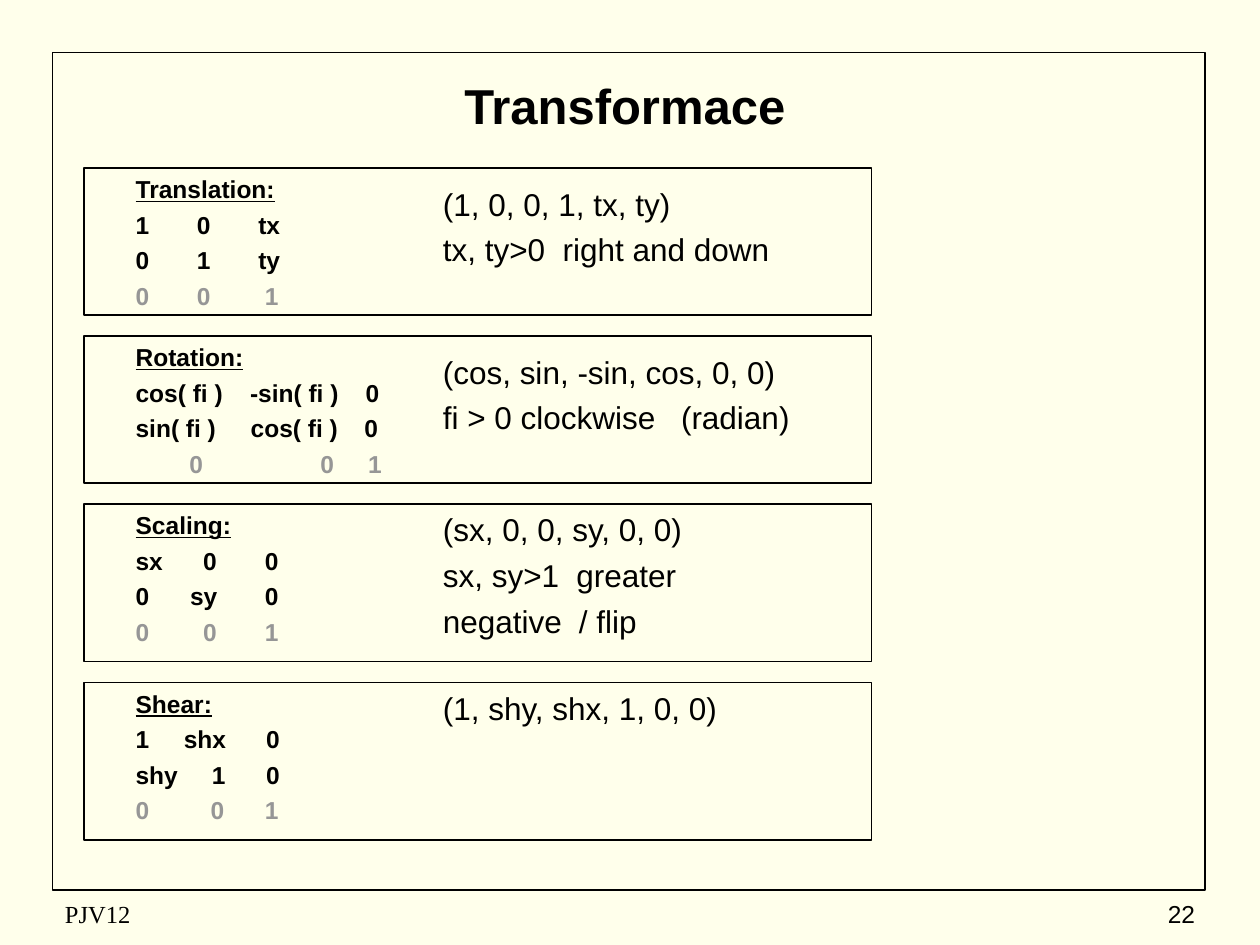
"""Build the slide that lists the four affine transformations."""
from dataclasses import dataclass

from lxml import etree
from pptx import Presentation
from pptx.dml.color import RGBColor
from pptx.enum.shapes import MSO_SHAPE
from pptx.enum.text import MSO_ANCHOR, PP_ALIGN
from pptx.oxml.ns import qn
from pptx.util import Inches, Pt

RECTANGLE = MSO_SHAPE.RECTANGLE
TOP, MIDDLE = MSO_ANCHOR.TOP, MSO_ANCHOR.MIDDLE
LEFT, CENTER, RIGHT = PP_ALIGN.LEFT, PP_ALIGN.CENTER, PP_ALIGN.RIGHT


@dataclass(frozen=True)
class Theme:
    """Colours, fonts and type sizes of the slide."""

    paper: RGBColor = RGBColor(0xFF, 0xFF, 0xEB)
    ink: RGBColor = RGBColor(0x00, 0x00, 0x00)
    muted: RGBColor = RGBColor(0x96, 0x96, 0x96)
    sans: str = "Arial"
    serif: str = "Times New Roman"
    title: float = 28
    note: float = 18
    small: float = 14
    note_gap: float = 4.5
    matrix_gap: float = 3.5


THEME = Theme()
CELLS_PER_INCH = 12
PANEL_LEFT, PANEL_TOP, PANEL_WIDTH, PANEL_GAP = 8, 16, 75, 2
NOTE_LEFT, NOTE_WIDTH = 41, 38
MATRIX_INSET = 0.41

BODY = {"name": THEME.sans, "size": Pt(THEME.note), "bold": False}
TITLE = {"name": THEME.sans, "size": Pt(THEME.title), "bold": True}
FOOTER = {"name": THEME.serif, "size": Pt(THEME.small)}
NUMBER = {"name": THEME.sans, "size": Pt(THEME.small)}
MATRIX = {"name": THEME.sans, "size": Pt(THEME.small), "bold": True}
HEADING = {**MATRIX, "underline": True}

PANELS = [
    {"name": "Translation:", "height": 14, "note_drop": 1, "note_height": 11,
     "matrix": [("1\t0\ttx", (0.54, 1.06)), ("0\t1\tty", (0.54, 1.06)),
                ("0\t0\t1", (0.54, 1.08))],
     "notes": [("(1, 0, 0, 1, tx, ty)", ()),
               ("tx, ty>0\tright and down", (0.95,))]},
    {"name": "Rotation:", "height": 14, "note_drop": 1, "note_height": 11,
     "matrix": [("cos( fi )\t-sin( fi )\t0", (1.26, 1.88)),
                ("sin( fi )\tcos( fi )\t0", (1.26, 1.87)),
                ("\t0\t0\t1", (0.48, 1.52, 1.9))],
     "notes": [("(cos, sin, -sin, cos, 0, 0)", ()),
               ("fi > 0 clockwise\t(radian)", (1.89,))]},
    {"name": "Scaling:", "height": 15, "note_drop": 0, "note_height": 14,
     "matrix": [("sx\t0\t0", (0.59, 1.08)), ("0\tsy\t0", (0.54, 1.08)),
                ("0\t0\t1", (0.59, 1.08))],
     "notes": [("(sx, 0, 0, sy, 0, 0)", ()),
               ("sx, sy>1\tgreater", (1.06,)),
               ("negative\t/ flip", (1.08,))]},
    {"name": "Shear:", "height": 15, "note_drop": 0, "note_height": 14,
     "matrix": [("1\tshx\t0", (0.55, 1.09)), ("shy\t1\t0", (0.66, 1.09)),
                ("0\t0\t1", (0.65, 1.08))],
     "notes": [("(1, shy, shx, 1, 0, 0)", ())]},
]


def cells(*counts):
    """Turn counts of grid cells into lengths."""
    return [Inches(count / CELLS_PER_INCH) for count in counts]


def apply_format(target, values):
    """Set each named attribute on the target."""
    for name, value in values.items():
        setattr(target, name, value)


def add_tab_stops(para, stops, align):
    """Give a paragraph its tab stops, in inches."""
    if stops:
        tab_list = etree.SubElement(para._p.get_or_add_pPr(), qn("a:tabLst"))
        for stop in stops:
            etree.SubElement(tab_list, qn("a:tab"),
                             pos=str(Inches(stop)), algn=align)


def write_line(frame, index, text, style, color=THEME.ink, gap=0,
               align=LEFT, stops=(), tab_align="l"):
    """Write one paragraph into a text frame."""
    para = frame.add_paragraph() if index else frame.paragraphs[0]
    para.alignment = align
    if index:
        para.space_before = Pt(gap)
    add_tab_stops(para, stops, tab_align)
    span = para.add_run()
    span.text = text
    apply_format(span.font, style)
    span.font.color.rgb = color


def add_outline(page, area, weight):
    """Draw an unfilled rectangle with a thin border."""
    box = page.shapes.add_shape(RECTANGLE, *cells(*area))
    box.shadow.inherit = False
    box.fill.background()
    box.line.color.rgb = THEME.ink
    box.line.width = Pt(weight)
    return box


def add_text(page, area, anchor=TOP):
    """Add a wrapping text box and return its frame."""
    frame = page.shapes.add_textbox(*cells(*area)).text_frame
    apply_format(frame, {"word_wrap": True, "vertical_anchor": anchor})
    return frame


def add_panel(page, top, panel):
    """Add one transformation with its matrix and notes."""
    area = (PANEL_LEFT, top, PANEL_WIDTH, panel["height"])
    frame = add_outline(page, area, 0.75).text_frame
    apply_format(frame, {"word_wrap": True, "vertical_anchor": TOP,
                         "margin_left": Inches(MATRIX_INSET)})
    write_line(frame, 0, panel["name"], HEADING)
    last = len(panel["matrix"])
    for index, (text, stops) in enumerate(panel["matrix"], 1):
        color = THEME.muted if index == last else THEME.ink
        write_line(frame, index, text, MATRIX, color, THEME.matrix_gap,
                   stops=stops, tab_align="ctr")
    notes = add_text(page, (NOTE_LEFT, top + panel["note_drop"],
                            NOTE_WIDTH, panel["note_height"]))
    for index, (text, stops) in enumerate(panel["notes"]):
        write_line(notes, index, text, BODY, gap=THEME.note_gap, stops=stops)


def main():
    """Build and save the deck."""
    deck = Presentation()
    deck.slide_width, deck.slide_height = cells(120, 90)
    page = deck.slides.add_slide(deck.slide_layouts[6])
    page.background.fill.solid()
    page.background.fill.fore_color.rgb = THEME.paper
    add_outline(page, (5, 5, 109.8, 79.8), 1)
    for area, text, style, align in (
        ((6, 6, 107, 8), "Transformace", TITLE, CENTER),
        ((5, 85, 38, 4), "PJV12", FOOTER, LEFT),
        ((90, 85, 25, 4), "22", NUMBER, RIGHT),
    ):
        write_line(add_text(page, area, MIDDLE), 0, text, style, align=align)
    top = PANEL_TOP
    for panel in PANELS:
        add_panel(page, top, panel)
        top += panel["height"] + PANEL_GAP
    deck.save("out.pptx")


if __name__ == "__main__":
    main()
